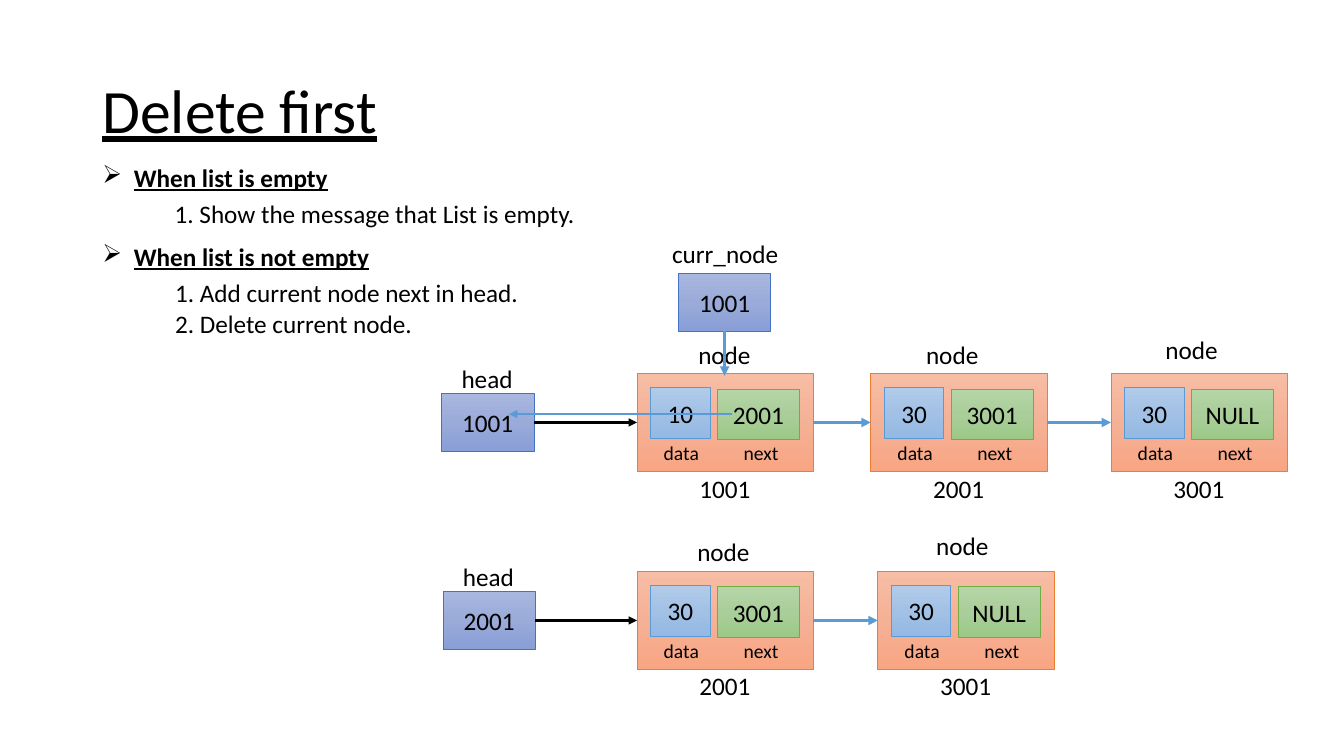
from copy import deepcopy
from lxml.etree import SubElement
from pptx import Presentation
from pptx.dml.color import RGBColor
from pptx.enum.shapes import MSO_CONNECTOR as Connector, MSO_SHAPE as Shape
from pptx.enum.text import MSO_ANCHOR as Anchor, MSO_AUTO_SIZE as AutoSize, PP_ALIGN as Align
from pptx.oxml.ns import qn
from pptx.util import Pt

COLORS = {"text": "000000", "link": "5B9BD5"}
BOX_COLORS = {
    "node": {"line": "ED7D31", "stops": ("F7BDA5", "F5B196", "F8A582")},
    "data": {"line": "5B9BD5", "stops": ("B1CBE9", "A3C1E5", "93B9E4")},
    "next": {"line": "70AD47", "stops": ("B5D5A7", "AACE9A", "9CC987")},
    "pointer": {"line": "4472C4", "stops": ("A8B7DF", "9AABD9", "889ED7")},
}
NODE_WIDTH, NODE_HEIGHT = 126, 70
POINTER_WIDTH, POINTER_HEIGHT = 66, 41.5
LINK_DROP = 34.8


def rgb(value):
    return RGBColor.from_string(value)


def write(para, text, size=18, **formats):
    span = para.add_run()
    span.text = text
    for name, value in {"name": "Calibri", "size": Pt(size), **formats}.items():
        setattr(span.font, name, value)
    span.font.color.rgb = rgb(COLORS["text"])


def add_title(page, text):
    title = page.shapes.title
    title.left, title.top, title.width, title.height = Pt(66), Pt(28.75), Pt(828), Pt(104.4)
    frame = title.text_frame
    frame.vertical_anchor = Anchor.MIDDLE
    frame.auto_size = AutoSize.NONE
    para = frame.paragraphs[0]
    para.alignment = Align.LEFT
    para.line_spacing = 0.9
    write(para, text, 44, underline=True)


def add_label(page, text, left, top, width, height=29, size=18, wrap=False, **formats):
    box = page.shapes.add_textbox(Pt(left), Pt(top), Pt(width), Pt(height))
    box.text_frame.word_wrap = wrap
    box.text_frame.auto_size = AutoSize.SHAPE_TO_FIT_TEXT
    para = box.text_frame.paragraphs[0]
    write(para, text, size, **formats)
    return para


def add_heading(page, text, top, width):
    para = add_label(page, text, 66, top, width, bold=True, underline=True)
    properties = para._p.get_or_add_pPr()
    properties.set("marL", str(Pt(22.5)))
    properties.set("indent", str(-Pt(22.5)))
    SubElement(properties, qn("a:buChar")).set("char", "➢")


def fill_gradient(box, stops):
    box.fill.gradient()
    box.fill.gradient_angle = 270
    stop_list = box.element.spPr.find(qn("a:gradFill")).find(qn("a:gsLst"))
    stop_list.insert(1, deepcopy(stop_list[0]))
    for stop, position, color in zip(box.fill.gradient_stops, (0, 0.5, 1), stops):
        stop.position = position
        stop.color.rgb = rgb(color)


def add_box(page, kind, left, top, width, height, text=None):
    box = page.shapes.add_shape(Shape.RECTANGLE, Pt(left), Pt(top), Pt(width), Pt(height))
    box.shadow.inherit = False
    fill_gradient(box, BOX_COLORS[kind]["stops"])
    box.line.color.rgb = rgb(BOX_COLORS[kind]["line"])
    box.line.width = Pt(0.5)
    if text:
        box.text_frame.vertical_anchor = Anchor.MIDDLE
        para = box.text_frame.paragraphs[0]
        para.alignment = Align.CENTER
        write(para, text)


def add_arrow(page, start, end, color="link", width=2.25):
    points = [Pt(value) for value in (*start, *end)]
    arrow = page.shapes.add_connector(Connector.STRAIGHT, *points)
    arrow.line.color.rgb = rgb(COLORS[color])
    arrow.line.width = Pt(width)
    SubElement(arrow.line._get_or_add_ln(), qn("a:tailEnd")).set("type", "triangle")
    SubElement(arrow.element.spPr, qn("a:effectLst"))


def add_node(page, left, top, data, following, address, label_left, label_top):
    add_box(page, "node", left, top, NODE_WIDTH, NODE_HEIGHT)
    add_label(page, "node", left + label_left, top + label_top, 52.5)
    add_box(page, "data", left + 9.7, top + 10, 42.5, 36, data)
    add_box(page, "next", left + 57.5, top + 10.8, 58.3, 36, following)
    add_label(page, "data", left + 12, top + 44.6, 40.3, 24.5, 14)
    add_label(page, "next", left + 69, top + 44.4, 39.6, 24.5, 14)
    add_label(page, address, left + 37.5, top + 67.2, 51)


def add_list(page, top, head_left, head_value, nodes):
    link_top = top + LINK_DROP
    add_box(page, "pointer", head_left, top + 14.3, POINTER_WIDTH, POINTER_HEIGHT, head_value)
    add_label(page, "head", head_left + 7.2, top - 10.9, 52)
    for node in nodes:
        add_node(page, node[0], top, *node[1:])
    add_arrow(page, (head_left + POINTER_WIDTH, link_top), (nodes[0][0], link_top), "text", 1.5)
    for before, after in zip(nodes, nodes[1:]):
        add_arrow(page, (before[0] + NODE_WIDTH, link_top), (after[0], link_top))


def main():
    deck = Presentation()
    deck.slide_width, deck.slide_height = Pt(960), Pt(540)
    page = deck.slides.add_slide(deck.slide_layouts[5])
    add_title(page, "Delete first")

    add_heading(page, "When list is empty", 112.3, 177)
    add_label(page, "1. Show the message that List is empty.", 117.7, 138.3, 304)
    add_heading(page, "When list is not empty", 168.8, 207)
    add_label(page, "1. Add current node next in head.", 118, 194.6, 263)
    add_label(page, "2. Delete current node.", 118, 217, 186)

    add_list(page, 267, 315.4, "1001", [
        (455, "10", "2001", "1001", 36.7, -28),
        (622, "30", "3001", "2001", 32.4, -28),
        (793.6, "30", "NULL", "3001", 31.7, -31.7),
    ])
    add_list(page, 408.4, 316.4, "2001", [
        (455, "30", "3001", "2001", 36, -28.8),
        (627, "30", "NULL", "3001", 34.6, -33),
    ])

    add_box(page, "pointer", 484.6, 195.3, POINTER_WIDTH, POINTER_HEIGHT, "1001")
    add_label(page, "curr_node", 473, 167, 91.5, wrap=True)
    add_arrow(page, (517.6, 236.8), (517.6, 268.5))
    add_arrow(page, (522.7, 295.8), (363.6, 295.8), width=1.5)
    deck.save("out.pptx")


if __name__ == "__main__":
    main()
